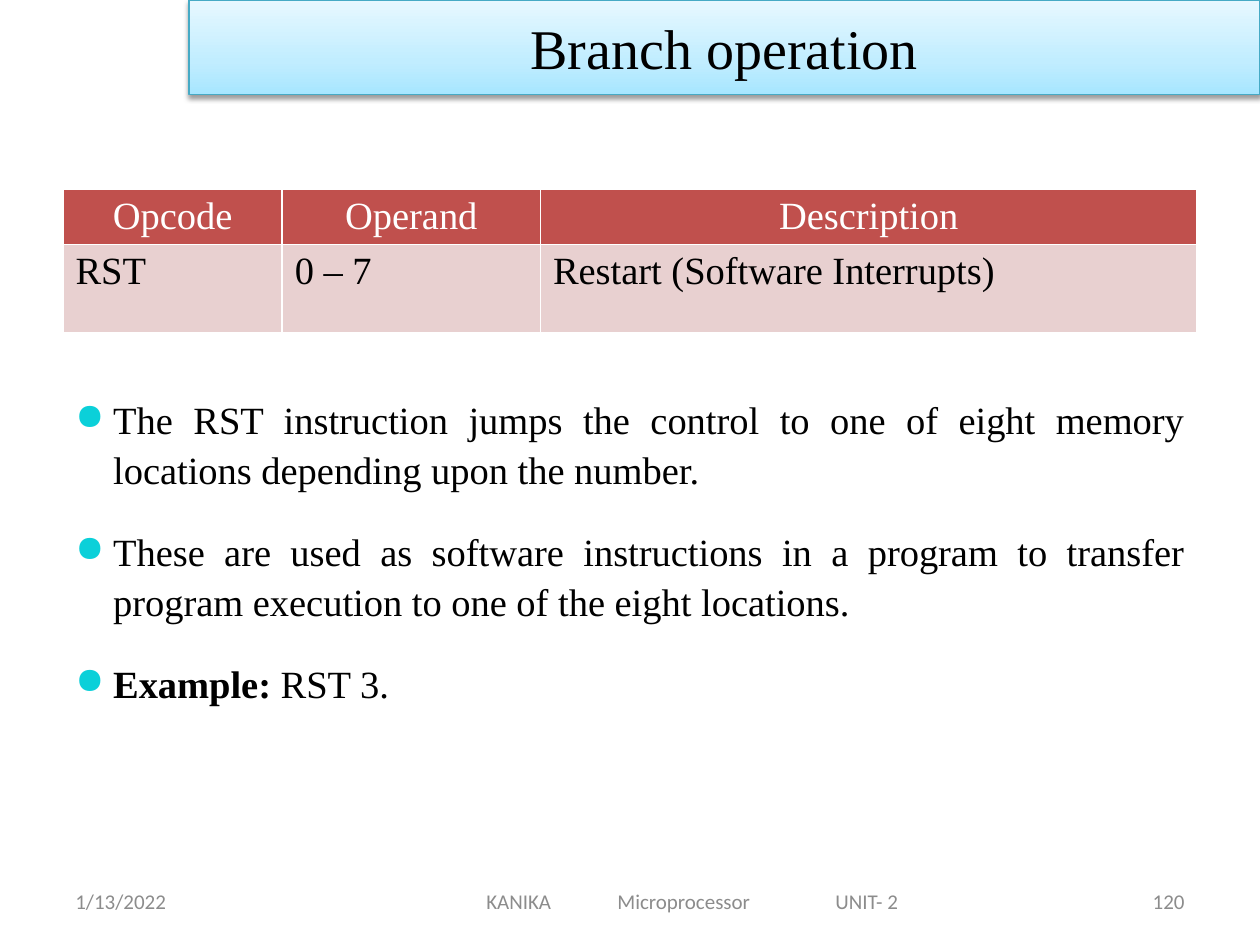
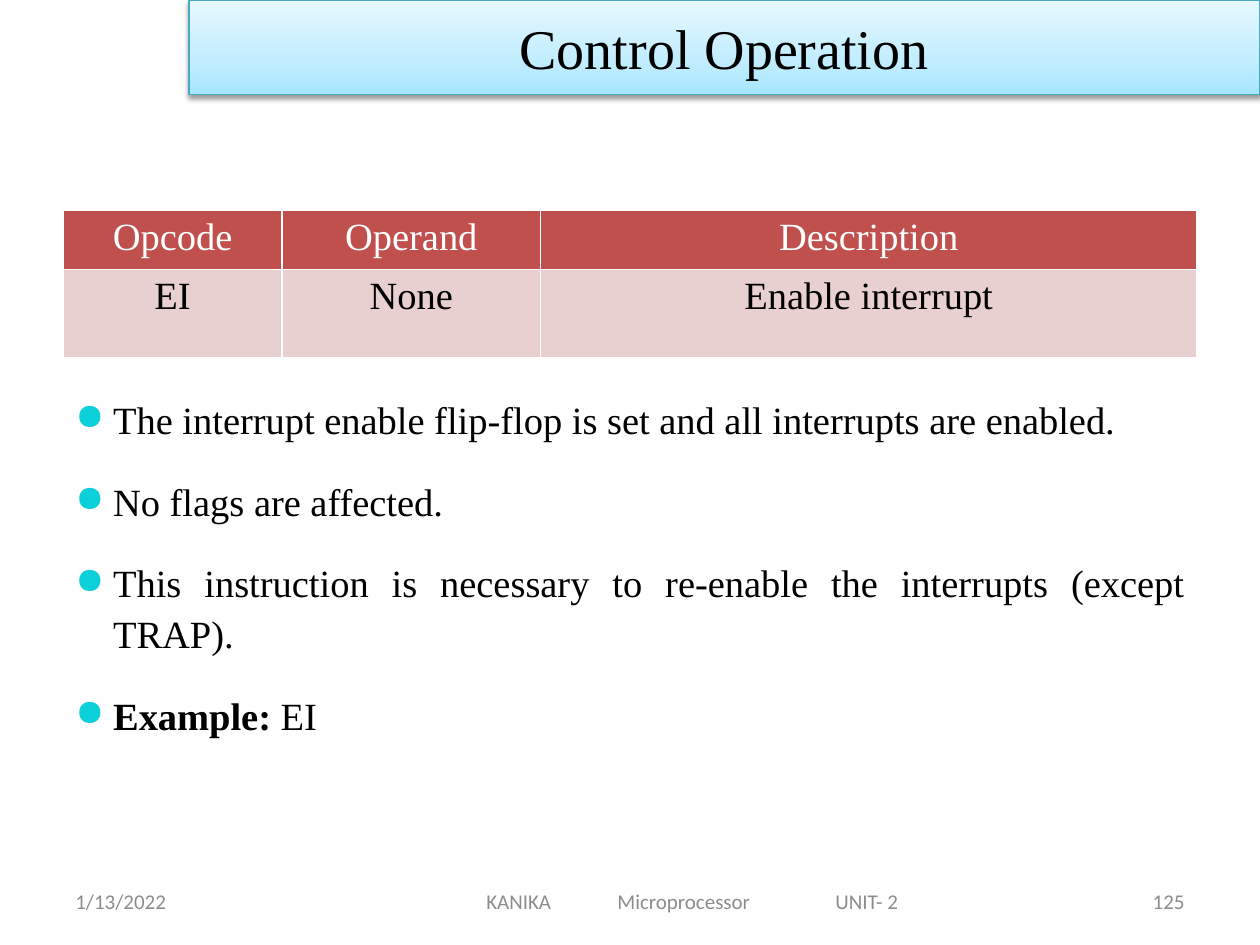
from dataclasses import dataclass

from lxml.etree import SubElement
from pptx import Presentation
from pptx.dml.color import RGBColor
from pptx.enum.shapes import MSO_SHAPE as Preset
from pptx.enum.text import MSO_ANCHOR as Anchor, PP_ALIGN as Align
from pptx.oxml import parse_xml
from pptx.oxml.ns import nsdecls, qn
from pptx.slide import Slide
from pptx.util import Inches, Length, Pt


@dataclass(frozen=True)
class Theme:
    serif: str = "Times New Roman"
    sans: str = "Calibri"
    black: str = "000000"
    white: str = "FFFFFF"
    footer: str = "8C8C8C"
    header_fill: str = "C0504D"
    row_fill: str = "E8D0D0"
    bullet: str = "0BD0D9"
    band_line: str = "46AAC5"
    band_stops: tuple[tuple[int, str], ...] = ((0, "A7E6FF"), (35, "C1EDFF"), (100, "E7F8FF"))
    title_size: Length = Pt(32)
    body_size: Length = Pt(22)
    footer_size: Length = Pt(12)


@dataclass(frozen=True)
class TextStyle:
    font: str
    size: Length
    color: str


@dataclass(frozen=True)
class Instruction:
    title: str
    number: str
    table_top: Length
    cells: tuple[str, str, str]
    cell_align: Align
    points: tuple[str, ...]
    example: str


THEME = Theme()
TITLE = TextStyle(THEME.serif, THEME.title_size, THEME.black)
BODY = TextStyle(THEME.serif, THEME.body_size, THEME.black)
TABLE_HEAD = TextStyle(THEME.serif, THEME.body_size, THEME.white)
FOOTER = TextStyle(THEME.sans, THEME.footer_size, THEME.footer)

MARGIN = Inches(0.5)
CONTENT_WIDTH = Inches(9)
FOOTER_TOP, FOOTER_HEIGHT = Inches(6.95), Inches(0.4)
FOOTER_SIDE_WIDTH = Inches(2.33)
HEADINGS = ("Opcode", "Operand", "Description")
COLUMN_WIDTHS = (Inches(1.74), Inches(2.05), Inches(5.21))
ROW_HEIGHTS = (Inches(0.41), Inches(0.7))

INSTRUCTIONS = (
    Instruction(
        "Branch operation", "120", Inches(1.5),
        ("RST", "0 – 7", "Restart (Software Interrupts)"), Align.LEFT,
        ("The RST instruction jumps the control to one of eight memory locations "
         "depending upon the number.",
         "These are used as software instructions in a program to transfer program "
         "execution to one of the eight locations."),
        "RST 3.",
    ),
    Instruction(
        "Control Operation", "125", Inches(1.67),
        ("EI", "None", "Enable interrupt"), Align.CENTER,
        ("The interrupt enable flip-flop is set and all interrupts are enabled.",
         "No flags are affected.",
         "This instruction is necessary to re-enable the interrupts (except TRAP)."),
        "EI",
    ),
)


def add_span(para, text: str, style: TextStyle, bold: bool = False) -> None:
    span = para.add_run()
    span.text = text
    span.font.name = style.font
    span.font.size = style.size
    span.font.bold = bold
    span.font.color.rgb = RGBColor.from_string(style.color)


def add_band(page: Slide, title: str) -> None:
    band = page.shapes.add_shape(Preset.RECTANGLE, Inches(1.5), 0, Inches(8.5), Inches(0.75))
    band.line.color.rgb = RGBColor.from_string(THEME.band_line)
    band.line.width = Pt(0.75)
    stops = "".join(
        f'<a:gs pos="{position * 1000}"><a:srgbClr val="{color}"/></a:gs>'
        for position, color in THEME.band_stops
    )
    properties = band.element.spPr
    properties.find(qn("a:prstGeom")).addnext(parse_xml(
        f'<a:gradFill {nsdecls("a")} rotWithShape="1"><a:gsLst>{stops}</a:gsLst>'
        '<a:lin ang="16200000" scaled="0"/></a:gradFill>'
    ))
    properties.append(parse_xml(
        f'<a:effectLst {nsdecls("a")}><a:outerShdw blurRad="{Pt(3.1)}" dist="{Pt(1.6)}" '
        f'dir="5400000" rotWithShape="0"><a:srgbClr val="{THEME.black}">'
        '<a:alpha val="38000"/></a:srgbClr></a:outerShdw></a:effectLst>'
    ))
    band.text_frame.vertical_anchor = Anchor.MIDDLE
    para = band.text_frame.paragraphs[0]
    para.alignment = Align.CENTER
    add_span(para, title, TITLE)


def fill_cell(cell, text: str, style: TextStyle, fill: str, align: Align) -> None:
    for side in ("L", "R", "T", "B"):
        cell._tc.get_or_add_tcPr().append(parse_xml(
            f'<a:ln{side} {nsdecls("a")} w="{Pt(1)}"><a:solidFill>'
            f'<a:srgbClr val="{THEME.white}"/></a:solidFill></a:ln{side}>'
        ))
    cell.fill.solid()
    cell.fill.fore_color.rgb = RGBColor.from_string(fill)
    para = cell.text_frame.paragraphs[0]
    para.alignment = align
    add_span(para, text, style)


def add_opcode_table(page: Slide, instruction: Instruction) -> None:
    table = page.shapes.add_table(
        2, 3, MARGIN, instruction.table_top, CONTENT_WIDTH, sum(ROW_HEIGHTS)
    ).table
    for row, height in zip(table.rows, ROW_HEIGHTS):
        row.height = height
    for index, width in enumerate(COLUMN_WIDTHS):
        table.columns[index].width = width
        fill_cell(table.cell(0, index), HEADINGS[index], TABLE_HEAD,
                  THEME.header_fill, Align.CENTER)
        fill_cell(table.cell(1, index), instruction.cells[index], BODY,
                  THEME.row_fill, instruction.cell_align)


def add_bullet(para) -> None:
    properties = para._p.get_or_add_pPr()
    properties.set("marL", str(Inches(0.3)))
    properties.set("indent", str(-Inches(0.3)))
    color = SubElement(properties, qn("a:buClr"))
    SubElement(color, qn("a:srgbClr"), val=THEME.bullet)
    SubElement(properties, qn("a:buSzPct"), val="95000")
    SubElement(properties, qn("a:buChar"), char="●")
    para.alignment = Align.JUSTIFY
    para.line_spacing = 1.09
    para.space_after = Pt(18)


def add_points(page: Slide, instruction: Instruction) -> None:
    box = page.shapes.add_textbox(MARGIN, Inches(3.06), CONTENT_WIDTH, Inches(3.4))
    frame = box.text_frame
    frame.word_wrap = True
    para = frame.paragraphs[0]
    for point in instruction.points:
        add_bullet(para)
        add_span(para, point, BODY)
        para = frame.add_paragraph()
    add_bullet(para)
    add_span(para, "Example:", BODY, bold=True)
    add_span(para, f" {instruction.example}", BODY)


def add_footer_text(page: Slide, left: Length, width: Length, text: str,
                    align: Align = Align.LEFT, inset: Length = Inches(0.1),
                    tabs: tuple[Length, ...] = ()) -> None:
    box = page.shapes.add_textbox(left, FOOTER_TOP, width, FOOTER_HEIGHT)
    frame = box.text_frame
    frame.word_wrap = True
    frame.vertical_anchor = Anchor.MIDDLE
    frame.margin_left = inset
    para = frame.paragraphs[0]
    para.alignment = align
    if tabs:
        stops = SubElement(para._p.get_or_add_pPr(), qn("a:tabLst"))
        for position in tabs:
            SubElement(stops, qn("a:tab"), pos=str(position), algn="l")
    add_span(para, text, FOOTER)


def add_footer(page: Slide, number: str) -> None:
    add_footer_text(page, MARGIN, FOOTER_SIDE_WIDTH, "1/13/2022")
    add_footer_text(page, Inches(2.75), Inches(5.5), "KANIKA\tMicroprocessor\tUNIT- 2",
                    inset=Inches(1.11), tabs=(Inches(1.04), Inches(2.77)))
    add_footer_text(page, Inches(7.17), FOOTER_SIDE_WIDTH, number, Align.RIGHT)


def main() -> None:
    deck = Presentation()
    deck.slide_width, deck.slide_height = Inches(10), Inches(7.5)
    for instruction in INSTRUCTIONS:
        page = deck.slides.add_slide(deck.slide_layouts[6])
        add_band(page, instruction.title)
        add_opcode_table(page, instruction)
        add_points(page, instruction)
        add_footer(page, instruction.number)
    deck.save("out.pptx")


if __name__ == "__main__":
    main()
